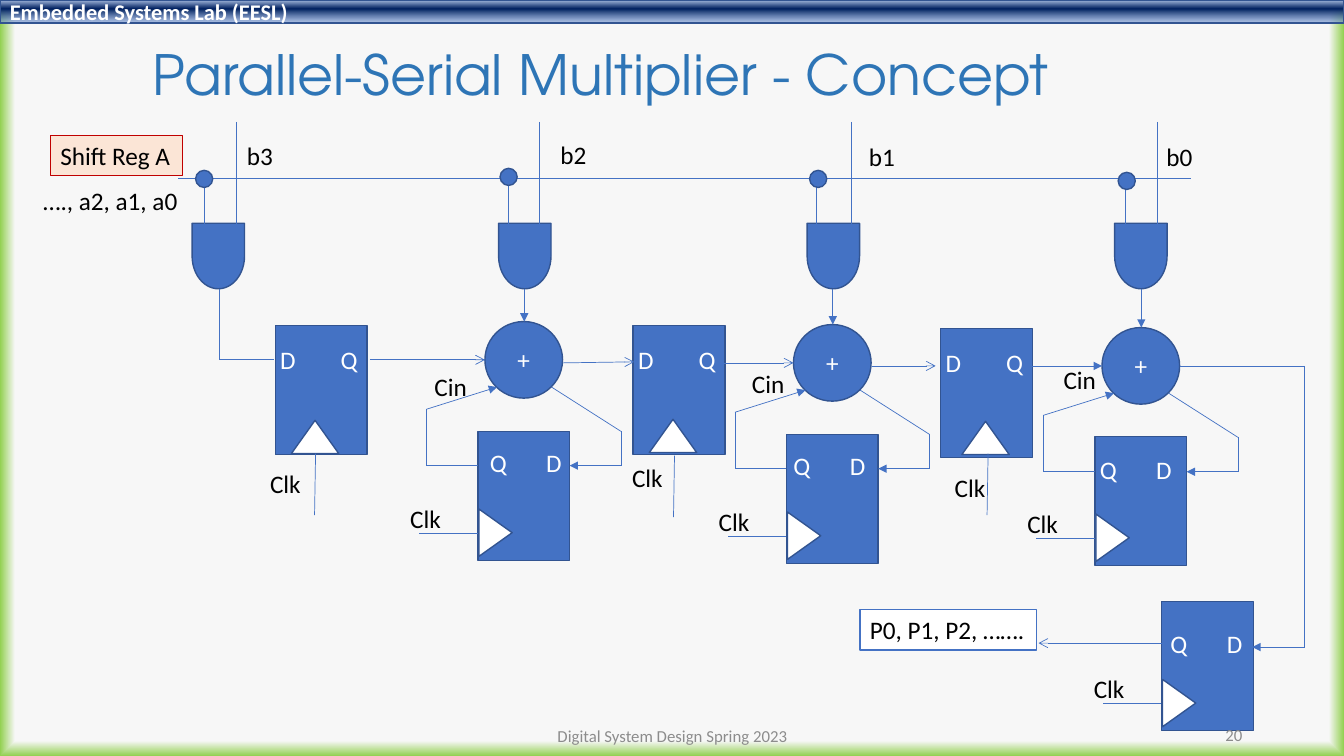
from itertools import pairwise

from pptx import Presentation
from pptx.dml.color import RGBColor
from pptx.enum.shapes import MSO_CONNECTOR, MSO_SHAPE as Preset
from pptx.enum.text import MSO_ANCHOR as Anchor, MSO_AUTO_SIZE as AutoSize, PP_ALIGN as Align
from pptx.oxml import parse_xml
from pptx.oxml.ns import nsdecls, qn
from pptx.util import Inches, Pt

COLORS = {
    "blue": "4472C4", "edge": "325491", "white": "FFFFFF", "black": "000000",
    "title": "2E75B6", "peach": "FBE5D6", "red": "C00000", "gray": "8C8C8C",
}

prs = Presentation()
prs.slide_width, prs.slide_height = Inches(13.33), Inches(7.5)
slide = prs.slides.add_slide(prs.slide_layouts[5])
shapes = slide.shapes


def put(kind, box, text="", fill=None, line=None, width=1, color="black", size=18,
        font="Calibri", bold=False, align=Align.LEFT, anchor=Anchor.TOP,
        wrap=False, tab=None, spacing=None, rotation=0):
    """Place a preset shape, "text" box or the "title", and format its text."""
    frame_box = [Inches(length) for length in box]
    if kind == "title":
        part = shapes.title
        part.left, part.top, part.width, part.height = frame_box
    elif kind == "text":
        part = shapes.add_textbox(*frame_box)
    else:
        part = shapes.add_shape(kind, *frame_box)
        part.shadow.inherit = False
    part.rotation = rotation
    if fill:
        part.fill.solid()
        part.fill.fore_color.rgb = RGBColor.from_string(COLORS[fill])
    if line:
        part.line.color.rgb = RGBColor.from_string(COLORS[line])
        part.line.width = Pt(width)
    if text:
        frame = part.text_frame
        frame.word_wrap = wrap
        frame.auto_size = AutoSize.NONE if wrap else AutoSize.SHAPE_TO_FIT_TEXT
        frame.vertical_anchor = anchor
        paragraph = frame.paragraphs[0]
        paragraph.alignment = align
        if spacing:
            paragraph.line_spacing = spacing
        if tab:
            paragraph._p.get_or_add_pPr().append(parse_xml(
                f'<a:tabLst {nsdecls("a")}><a:tab pos="{Inches(tab)}" algn="l"/></a:tabLst>'))
        run = paragraph.add_run()
        run.text = text
        run.font.name, run.font.size, run.font.bold = font, Pt(size), bold
        run.font.color.rgb = RGBColor.from_string(COLORS[color])
    return part


def wire(*points, head=None):
    """Join the points with straight lines; head is the arrowhead at the end."""
    for start, end in pairwise(points):
        link = shapes.add_connector(MSO_CONNECTOR.STRAIGHT, *map(Inches, (*start, *end)))
        link.line.color.rgb = RGBColor.from_string(COLORS["blue"])
        link.line.width = Pt(0.5)
        link._element.spPr.append(parse_xml(f'<a:effectLst {nsdecls("a")}/>'))
    if head:
        link.line._get_or_add_ln().append(
            parse_xml(f'<a:tailEnd {nsdecls("a")} type="{head}"/>'))


# Background, header bar and title
lab_bar = put(Preset.RECTANGLE, (0, 0, 13.33, 0.23), "Embedded Systems Lab (EESL)",
              line="edge", color="white", size=16, bold=True, anchor=Anchor.MIDDLE, wrap=True)
backdrop = slide.background
GRADIENTS = [
    (backdrop, slide.element,
     '<a:gs pos="96000"><a:srgbClr val="F7F7F7"/></a:gs>'
     '<a:gs pos="100000"><a:srgbClr val="92D050"/></a:gs>',
     '<a:path path="shape"><a:fillToRect l="50000" t="50000" r="50000" b="50000"/></a:path>'),
    (lab_bar, lab_bar._element,
     '<a:gs pos="2000"><a:srgbClr val="ABC0E4"/></a:gs>'
     '<a:gs pos="38000"><a:srgbClr val="002060"/></a:gs>'
     '<a:gs pos="93000"><a:srgbClr val="7E9ED6"><a:alpha val="64000"/></a:srgbClr></a:gs>',
     '<a:lin ang="5400000" scaled="0"/>'),
]
for owner, element, stops, direction in GRADIENTS:
    owner.fill.gradient()
    plain = next(element.iter(qn("a:gradFill")))
    plain.getparent().replace(plain, parse_xml(
        f'<a:gradFill {nsdecls("a")} rotWithShape="1"><a:gsLst>{stops}</a:gsLst>'
        f'{direction}</a:gradFill>'))

put("title", (1.41, 0.25, 9.33, 1.04), "Parallel-Serial Multiplier - Concept", color="title",
    size=39.6, font="TeX Gyre Adventor", anchor=Anchor.MIDDLE, wrap=True, spacing=0.9)

# Serial input A on its bus
wire((1.77, 1.77), (11.81, 1.77))
put(Preset.RECTANGLE, (0.5, 1.34, 1.31, 0.4), "Shift Reg A", fill="peach", line="red", width=0.75)
put("text", (0.33, 1.79, 1.55, 0.4), "…., a2, a1, a0")

# AND gates: bit, gate left, a tap x, b line x, dot corner, label corner
AND_GATES = [
    ("b3", 1.84, 2.03, 2.34, (1.94, 1.69), (2.35, 1.34)),
    ("b2", 4.88, 5.04, 5.35, (4.96, 1.67), (5.46, 1.33)),
    ("b1", 7.94, 8.1, 8.44, (8.03, 1.69), (8.52, 1.35)),
    ("b0", 10.99, 11.16, 11.48, (11.09, 1.71), (11.47, 1.35)),
]
for bit, gate_left, tap_x, bit_x, dot, label in AND_GATES:
    put(Preset.FLOWCHART_DELAY, (gate_left, 2.28, 0.65, 0.52),
        fill="blue", line="edge", rotation=90)
    wire((bit_x, 1.21), (bit_x, 2.22))
    wire((tap_x, 1.77), (tap_x, 2.22))
    put(Preset.OVAL, (*dot, 0.17, 0.17), fill="blue", line="edge")
    put("text", (*label, 0.46, 0.4), bit)

# Sum registers: corner, clock triangle corner, clock wire top, Clk corner
SUM_REGISTERS = [
    ((2.73, 3.23), (2.89, 4.17), (3.13, 4.5), (2.58, 4.6)),
    ((6.28, 3.23), (6.44, 4.16), (6.69, 4.52), (6.17, 4.54)),
    ((9.33, 3.26), (9.54, 4.18), (9.8, 4.5), (9.37, 4.64)),
]
for (x, y), clock, (clock_x, clock_y), label in SUM_REGISTERS:
    put(Preset.RECTANGLE, (x, y, 0.91, 1.28), fill="blue", line="edge")
    put(Preset.ISOSCELES_TRIANGLE, (*clock, 0.47, 0.33), fill="white", line="edge")
    put("text", (x - 0.05, y + 0.14, 0.99, 0.4), "D\tQ", color="white", wrap=True, tab=0.6)
    wire((clock_x, clock_y), (clock_x - 0.01, clock_y + 0.61))
    put("text", (*label, 0.51, 0.4), "Clk")

# Carry registers and the output register: corner, Q D label corner
SIDE_REGISTERS = [
    ((4.74, 4.28), (4.76, 4.39)),
    ((7.8, 4.31), (7.77, 4.42)),
    ((10.86, 4.33), (10.81, 4.46)),
    ((11.52, 5.97), (11.51, 6.18)),
]
for (x, y), label in SIDE_REGISTERS:
    put(Preset.RECTANGLE, (x, y, 0.91, 1.28), fill="blue", line="edge")
    put(Preset.ISOSCELES_TRIANGLE, (x - 0.06, y + 0.84, 0.47, 0.33),
        fill="white", line="edge", rotation=90)
    put("text", (*label, 0.93, 0.4), "Q\tD", color="white", wrap=True, tab=0.56)
    wire((x, y + 1.01), (x - 0.58, y + 1.01))
    put("text", (x - 0.77, y + 0.66, 0.51, 0.4), "Clk")

# Adders with their carry loops
CARRY_LABELS = [(4.21, 3.63), (7.36, 3.6), (10.45, 3.57)]
for stage, label in enumerate(CARRY_LABELS):
    x, y = 4.81 + 3.06 * stage, 3.19 + 0.03 * stage
    put(Preset.OVAL, (x, y, 0.77, 0.76), "+", fill="blue", line="edge", color="white",
        align=Align.CENTER, anchor=Anchor.MIDDLE, wrap=True)
    wire((x + 0.39, 2.87), (x + 0.39, y), head="triangle")
    wire((x + 0.66, y + 0.65), (x + 1.35, y + 1.09), (x + 1.35, y + 1.43),
         (x + 0.84, y + 1.43), head="triangle")
    wire((x - 0.07, y + 1.43), (x - 0.58, y + 1.43), (x - 0.58, y + 0.87),
         (x + 0.12, y + 0.65), head="triangle")
    put("text", (*label, 0.53, 0.4), "Cin")

# Sum path from b3 to the product output
wire((2.18, 2.87), (2.18, 3.57), (2.72, 3.57))
wire((3.67, 3.57), (4.81, 3.57), head="arrow")
wire((5.58, 3.6), (6.29, 3.59), head="arrow")
wire((7.16, 3.6), (7.87, 3.6), head="arrow")
wire((8.65, 3.63), (9.28, 3.63), head="arrow")
wire((10.23, 3.63), (10.93, 3.63), head="triangle")
wire((11.7, 3.63), (12.94, 3.63), (12.94, 6.42), (12.42, 6.42), head="triangle")
wire((11.58, 6.38), (10.3, 6.38), head="arrow")
put(Preset.RECTANGLE, (8.53, 6.05, 1.75, 0.4), "P0, P1, P2, …….", fill="white", line="blue")

# Footer
put("text", (4.42, 7.1, 4.5, 0.4), "Digital System Design Spring 2023", color="gray", size=12,
    align=Align.CENTER, anchor=Anchor.MIDDLE, wrap=True)
put("text", (9.42, 7.09, 3, 0.4), "20", color="gray", size=12,
    align=Align.RIGHT, anchor=Anchor.MIDDLE, wrap=True)

prs.save("out.pptx")
